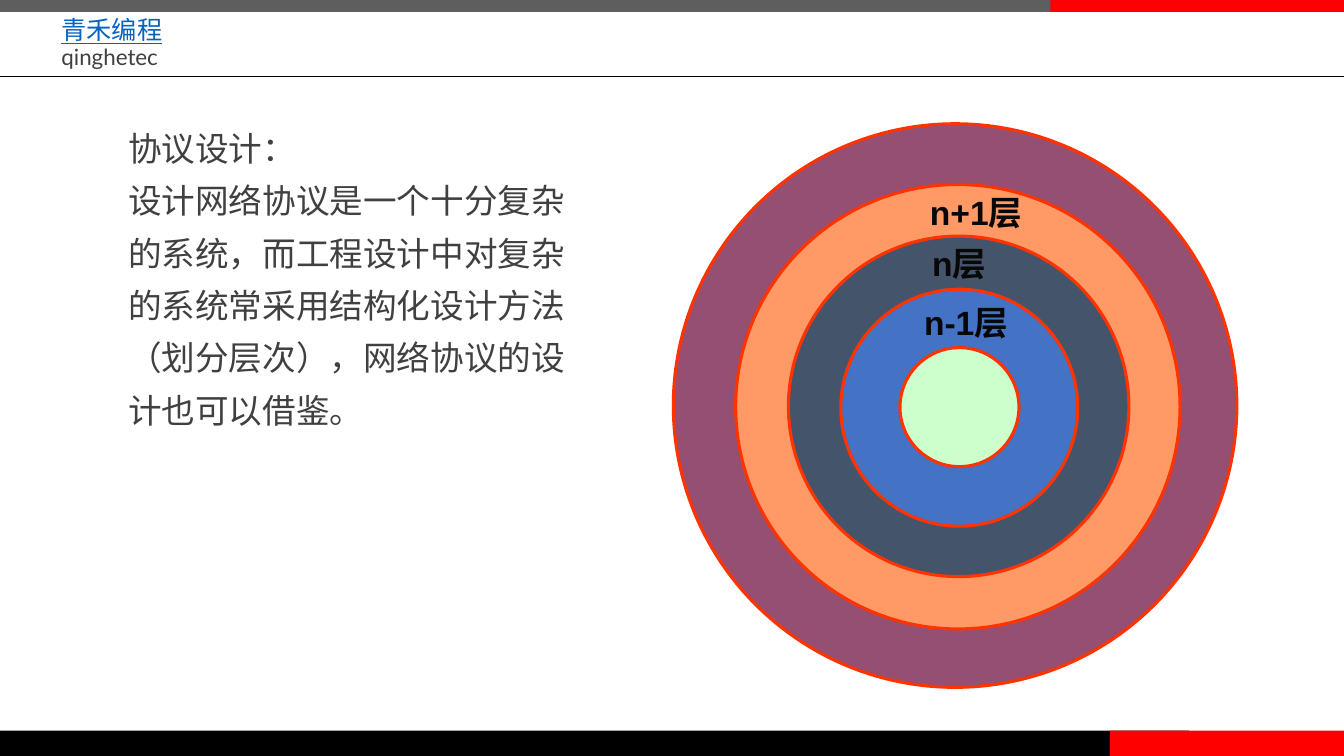
from lxml import etree
from pptx import Presentation
from pptx import util as u
from pptx.dml.color import RGBColor
from pptx.enum import shapes, text
from pptx.oxml.ns import qn

CJK_FONT = "Noto Sans CJK SC"
RINGS = [
    (0, 0, 14.2, "954F72"),
    (1.57, 1.53, 11.2, "FF9966"),
    (2.9, 2.83, 8.58, "44546A"),
    (4.22, 4.17, 5.97, "4472C4"),
    (5.71, 5.64, 3, "CCFFCC"),
]
LAYER_LABELS = [
    ("n-1层", 5.76, 4.3, 3.23),
    ("n层", 5.59, 2.82, 3.23),
    ("n+1层", 5.61, 1.55, 4.04),
]


def rgb(code):
    """Turn a hex string into a colour."""
    return RGBColor.from_string(code)


def add_filled(slide, kind, left, top, width, height, fill, outline=None):
    """Add a filled preset shape, measured in centimetres."""
    figure = slide.shapes.add_shape(kind, u.Cm(left), u.Cm(top), u.Cm(width), u.Cm(height))
    figure.shadow.inherit = False
    figure.fill.solid()
    figure.fill.fore_color.rgb = rgb(fill)
    if outline:
        figure.line.color.rgb = rgb(outline)
        figure.line.width = u.Pt(2.25)
    else:
        figure.line.fill.background()


def add_text(slide, left, top, width, height, wording, inset_x, inset_y):
    """Add a wrapping text box and return its frame."""
    frame = slide.shapes.add_textbox(u.Cm(left), u.Cm(top), u.Cm(width), u.Cm(height)).text_frame
    frame.word_wrap = True
    frame.margin_left = frame.margin_right = u.Cm(inset_x)
    frame.margin_top = frame.margin_bottom = u.Cm(inset_y)
    frame.text = wording
    return frame


def format_line(paragraph, size, color, font, bold=False, underline=False):
    """Format every run of a paragraph, East Asian font included."""
    for run in paragraph.runs:
        run.font.size = u.Pt(size)
        run.font.color.rgb = rgb(color)
        run.font.name = font
        run.font.bold = bold
        run.font.underline = underline
        east_asian = etree.SubElement(run._r.get_or_add_rPr(), qn("a:ea"))
        east_asian.set("typeface", CJK_FONT)


def add_bars(slide, width, height):
    """Draw the coloured bars along the top and bottom edges."""
    foot = height - 0.64
    for left, top, length, thickness, fill in [
        (0, 0, 27.46, 0.3, "5E5E5E"),
        (0, foot, 29.97, 0.64, "000000"),
        (width - 22.86 / 9.84 * 2.54, foot, 5.9, 0.64, "FF0000"),
        (width - 7.4, 0, 7.4, 0.3, "FF0000"),
    ]:
        left = 27.97 if left and top else left
        add_filled(slide, shapes.MSO_SHAPE.RECTANGLE, left, top, length, thickness, fill)


def add_header(slide, left, top, width, height, slide_width):
    """Write the course name above the full-width rule."""
    frame = add_text(slide, left, top, width, height, "青禾编程\nqinghetec", 0.15, 0.15)
    course, handle = frame.paragraphs
    course.line_spacing = u.Pt(20)
    handle.line_spacing = u.Pt(18)
    format_line(course, 18, "0563C1", "Lato", underline=True)
    format_line(handle, 16, "404040", "Lato")
    rule_y = u.Cm(top + height)
    rule = slide.shapes.add_connector(
        shapes.MSO_CONNECTOR.STRAIGHT, 0, rule_y, u.Cm(slide_width), rule_y)
    rule.line.color.rgb = rgb("000000")
    rule.line.width = u.Pt(0.5)
    etree.SubElement(rule._element.spPr, qn("a:effectLst"))


def add_explanation(slide, left, top, width, height):
    """Write the paragraphs on protocol design."""
    wording = ("协议设计：\n设计网络协议是一个十分复杂的系统，而工程设计中对复杂的系统"
               "常采用结构化设计方法（划分层次），网络协议的设计也可以借鉴。")
    frame = add_text(slide, left, top, width, height, wording, 0.33, 0.18)
    for paragraph in frame.paragraphs:
        paragraph.line_spacing = u.Pt(37.4)
        format_line(paragraph, 24, "404040", CJK_FONT)


def add_layers(slide, left, top):
    """Draw the nested protocol layers and their labels."""
    for dx, dy, diameter, fill in RINGS:
        add_filled(slide, shapes.MSO_SHAPE.OVAL, left + dx, top + dy,
                   diameter, diameter, fill, "FF3300")
    for wording, dx, dy, width in LAYER_LABELS:
        frame = add_text(slide, left + dx, top + dy, width, 1.37, wording, 0.33, 0.18)
        frame.vertical_anchor = text.MSO_ANCHOR.MIDDLE
        label = frame.paragraphs[0]
        label.alignment = text.PP_ALIGN.CENTER
        format_line(label, 24, "080808", "Arial", bold=True)


def main():
    """Build the slide and save it."""
    width, height = 33.87, 19.05
    deck = Presentation()
    deck.slide_width, deck.slide_height = u.Cm(width), u.Cm(height)
    slide = deck.slides.add_slide(deck.slide_layouts[6])
    add_bars(slide, width, height)
    add_header(slide, 1.4, 0.27, 7.4, 1.66, width)
    add_explanation(slide, 2.9, 2.74, 12.3, 14.94)
    add_layers(slide, 16.97, 3.12)
    deck.save("out.pptx")


if __name__ == "__main__":
    main()
